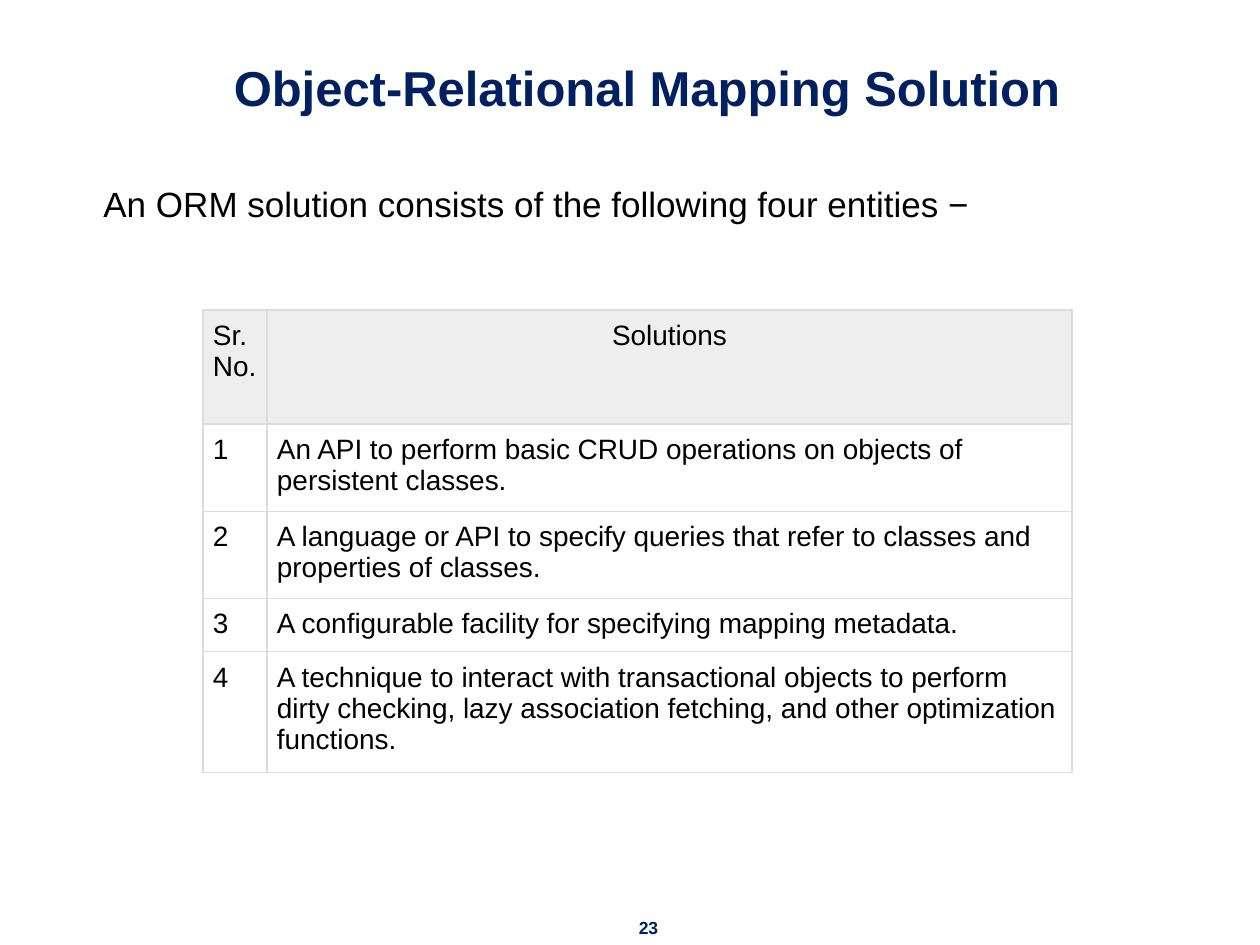
import pptx
import pptx.dml.color
import pptx.enum.text
import pptx.oxml
import pptx.oxml.ns
import pptx.util
from dataclasses import dataclass

SCALE = 914400 / 126  # EMU in one px
ALIGN = pptx.enum.text.PP_ALIGN
ANCHOR = pptx.enum.text.MSO_ANCHOR


@dataclass(frozen=True)
class Theme:
    font: str = "Arial"
    navy: str = "002060"
    ink: str = "000000"
    head: str = "EEEEEE"
    rule: str = "DDDDDD"
    title: int = 28
    lead: int = 20
    cell: int = 16
    page: int = 10
    line: float = 0.75


THEME = Theme()

ROWS = [
    ("Sr.No.", "Solutions"),
    ("1", "An API to perform basic CRUD operations on objects of "
          "persistent classes."),
    ("2", "A language or API to specify queries that refer to classes "
          "and properties of classes."),
    ("3", "A configurable facility for specifying mapping metadata."),
    ("4", "A technique to interact with transactional objects to perform "
          "dirty checking, lazy association fetching, and other "
          "optimization functions."),
]


def px(num):
    return pptx.util.Emu(round(num * SCALE))


def rgb(code):
    return pptx.dml.color.RGBColor.from_string(code)


def write(frame, text, size, color=THEME.ink, bold=False, align=ALIGN.LEFT):
    """Put one formatted paragraph into a text frame."""
    para = frame.paragraphs[0]
    para.alignment = align
    run = para.add_run()
    run.text = text
    font = run.font
    font.name, font.size, font.bold = THEME.font, pptx.util.Pt(size), bold
    font.color.rgb = rgb(color)


def place(shape, box):
    shape.left, shape.top, shape.width, shape.height = map(px, box)


def add_title(slide, box, text):
    shape = slide.shapes.title
    place(shape, box)
    frame = shape.text_frame
    frame.vertical_anchor = ANCHOR.BOTTOM
    frame.auto_size = pptx.enum.text.MSO_AUTO_SIZE.NONE
    write(frame, text, THEME.title, THEME.navy, True, ALIGN.CENTER)


def add_text(slide, box, text, size, wrap=True, **form):
    frame = slide.shapes.add_textbox(*map(px, box)).text_frame
    frame.word_wrap = wrap
    write(frame, text, size, **form)


def add_rules(cell):
    """Draw the four borders of a cell."""
    props = cell._tc.get_or_add_tcPr()
    for spot, side in enumerate(("lnL", "lnR", "lnT", "lnB")):
        props.insert(spot, pptx.oxml.parse_xml(
            f'<a:{side} {pptx.oxml.ns.nsdecls("a")} '
            f'w="{pptx.util.Pt(THEME.line)}"><a:solidFill>'
            f'<a:srgbClr val="{THEME.rule}"/></a:solidFill></a:{side}>'))


def add_grid(slide, box, rows, wides, highs):
    grid = slide.shapes.add_table(
        len(rows), len(wides), *map(px, box)).table
    grid.first_row = grid.horz_banding = False
    for col, wide in zip(grid.columns, wides):
        col.width = px(wide)
    for row, high in zip(grid.rows, highs):
        row.height = px(high)
    for r, texts in enumerate(rows):
        for c, text in enumerate(texts):
            cell = grid.cell(r, c)
            cell.margin_left = cell.margin_right = px(10)
            cell.margin_top = cell.margin_bottom = px(10)
            # Only the header row is shaded
            if r == 0:
                cell.fill.solid()
                cell.fill.fore_color.rgb = rgb(THEME.head)
            else:
                cell.fill.background()
            add_rules(cell)
            mid = r == 0 and c == 1
            write(cell.text_frame, text, THEME.cell,
                  align=ALIGN.CENTER if mid else ALIGN.LEFT)


def main():
    deck = pptx.Presentation()
    deck.slide_width, deck.slide_height = px(1260), px(945)
    slide = deck.slides.add_slide(deck.slide_layouts.get_by_name("Title Only"))

    # Title and lead sentence
    add_title(slide, (91, 39, 1112, 84), "Object-Relational Mapping Solution")
    add_text(slide, (91, 176, 1012, 56),
             "An ORM solution consists of the following four entities −",
             THEME.lead)

    # Table of entities
    wides, highs = (64, 805), (114, 83, 83, 52, 115)
    add_grid(slide, (203, 310, sum(wides), sum(highs)), ROWS, wides, highs)

    # Page number
    add_text(slide, (625, 911, 47, 34), "23", THEME.page, wrap=False,
             color=THEME.navy, bold=True, align=ALIGN.CENTER)

    deck.save("out.pptx")


if __name__ == "__main__":
    main()
